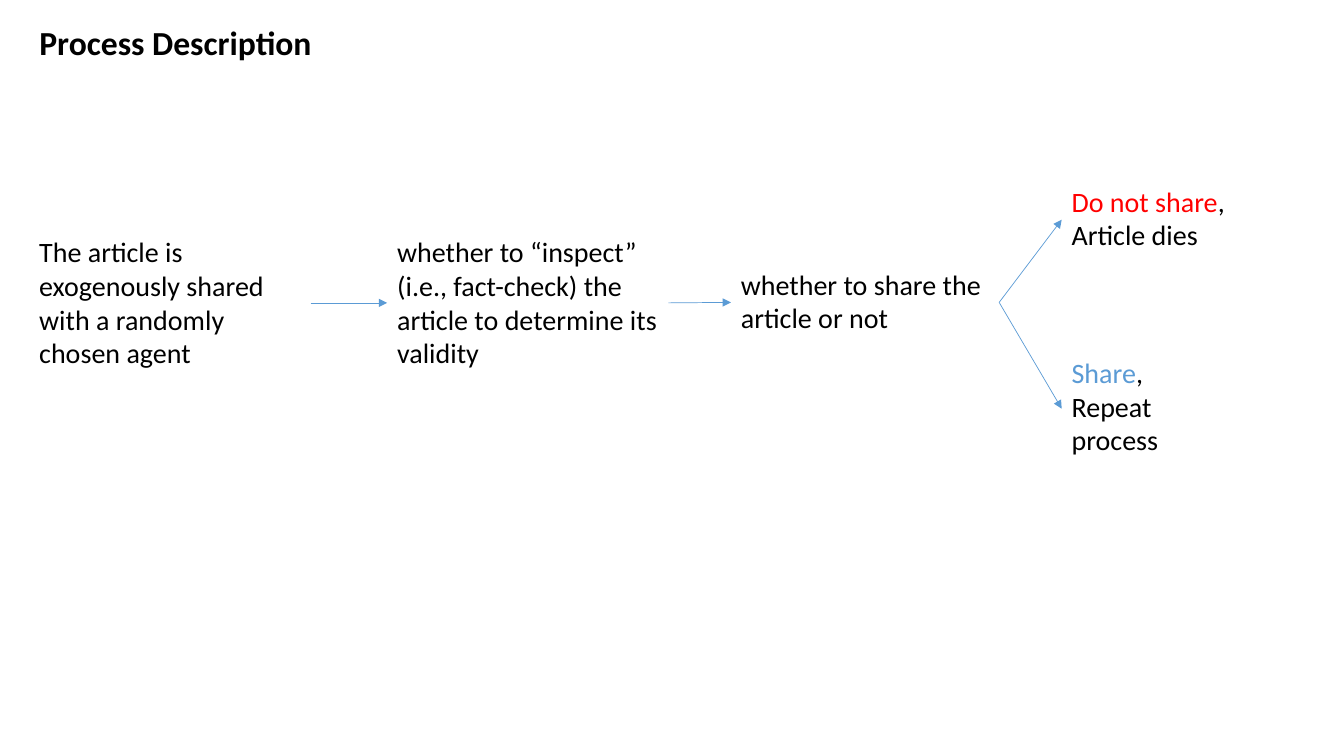
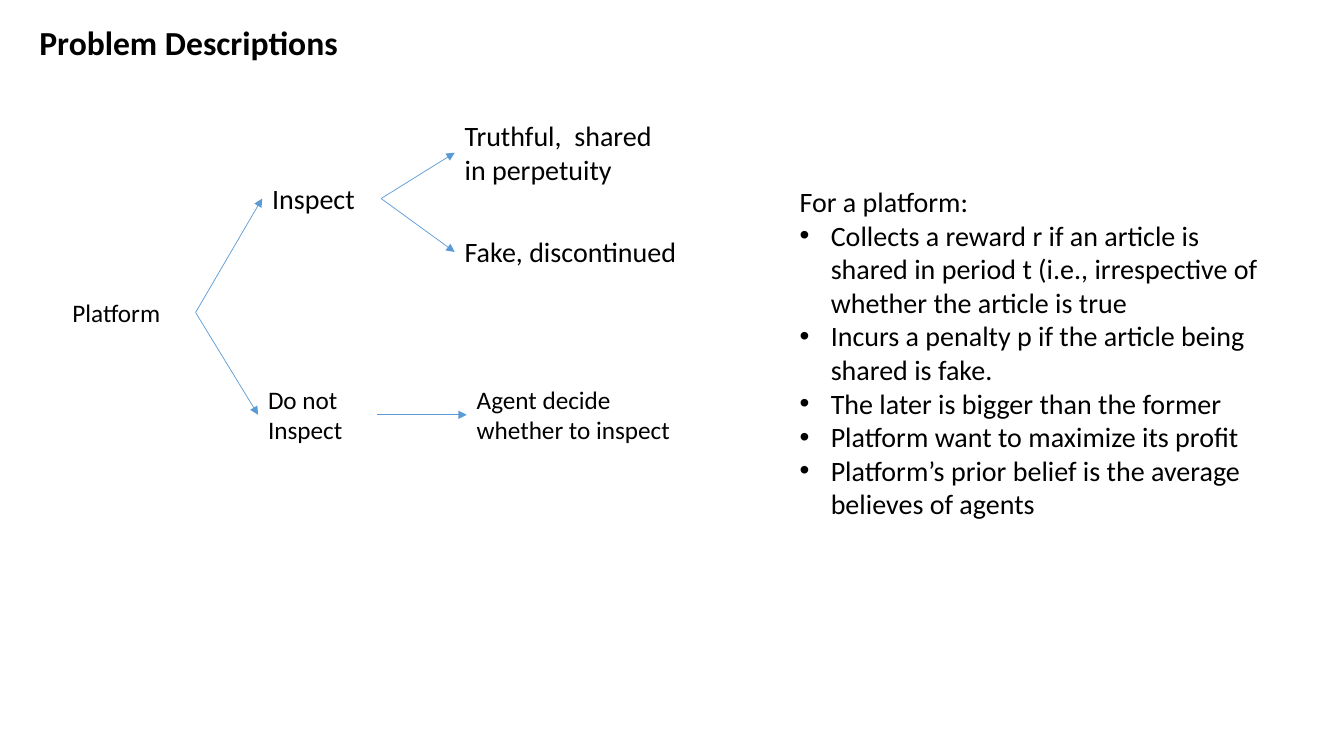
import pptx
import pptx.util
import pptx.dml.color
import pptx.enum.shapes
import pptx.enum.text
import pptx.oxml
import pptx.oxml.ns

Inches = pptx.util.Inches
Pt = pptx.util.Pt

COLORS = {"text": "000000", "arrow": "5B9BD5", "stop": "FF0000", "share": "5B9BD5"}
FONT = "Calibri"
RIGHT_SIDE, LEFT_SIDE = 3, 1
BULLET_INDENT = Inches(0.31)


def color(key):
    return pptx.dml.color.RGBColor.from_string(COLORS[key])


def append_element(parent, tag, **attributes):
    element = pptx.oxml.parse_xml(f"<{tag} {pptx.oxml.ns.nsdecls('a')}/>")
    for key, value in attributes.items():
        element.set(key, value)
    parent.append(element)


def place(shape, left, top, width, height):
    shape.left, shape.top = Inches(left), Inches(top)
    shape.width, shape.height = Inches(width), Inches(height)


def style_frame(frame):
    frame.word_wrap = True
    frame.auto_size = pptx.enum.text.MSO_AUTO_SIZE.NONE
    frame.vertical_anchor = pptx.enum.text.MSO_ANCHOR.TOP


def style_paragraph(paragraph, size, bold=False):
    paragraph.alignment = pptx.enum.text.PP_ALIGN.LEFT
    paragraph.space_before = Pt(0)
    font = paragraph.font
    font.name, font.size, font.bold = FONT, Pt(size), bold
    font.color.rgb = color("text")


def add_titled_slide(deck, layout_index, title):
    slide = deck.slides.add_slide(deck.slide_layouts[layout_index])
    heading = slide.shapes.title
    place(heading, 0.29, 0.17, 5.5, 0.5)
    style_frame(heading.text_frame)
    heading.text_frame.text = title
    style_paragraph(heading.text_frame.paragraphs[0], 24, bold=True)
    return slide


def add_step(slide, bounds, text, size=20, lead="", lead_color="text"):
    step = slide.shapes.add_textbox(*map(Inches, bounds))
    style_frame(step.text_frame)
    paragraph = step.text_frame.paragraphs[0]
    style_paragraph(paragraph, size)
    if lead:
        lead_run = paragraph.add_run()
        lead_run.text = lead
        lead_run.font.color.rgb = color(lead_color)
    paragraph.add_run().text = text
    return step


def add_arrow(slide, source, target):
    arrow = slide.shapes.add_connector(
        pptx.enum.shapes.MSO_CONNECTOR.STRAIGHT, 0, 0, 0, 0)
    arrow.begin_connect(source, RIGHT_SIDE)
    arrow.end_connect(target, LEFT_SIDE)
    arrow.line.color.rgb = color("arrow")
    arrow.line.width = Pt(0.5)
    append_element(arrow.line._get_or_add_ln(), "a:tailEnd", type="triangle")
    append_element(arrow._element.spPr, "a:effectLst")


def add_arrows(slide, links):
    for source, target in links:
        add_arrow(slide, source, target)


def fill_list(body, bounds, intro, items):
    place(body, *bounds)
    frame = body.text_frame
    style_frame(frame)
    frame.text = "\n".join([intro, *items])
    for index, paragraph in enumerate(frame.paragraphs):
        paragraph.space_before = Pt(0)
        properties = paragraph._p.get_or_add_pPr()
        indent = BULLET_INDENT if index else 0
        properties.set("marL", str(indent))
        properties.set("indent", str(-indent))
        if index:
            append_element(properties, "a:buFont", typeface="Arial")
            append_element(properties, "a:buChar", char="•")
        else:
            append_element(properties, "a:buNone")
        style_paragraph(paragraph, 20)


def build_process(deck):
    slide = add_titled_slide(deck, 5, "Process Description")
    seeding = add_step(slide, (0.29, 2.28, 2.79, 1.45),
                       "The article is exogenously shared with a randomly chosen agent")
    inspection = add_step(
        slide, (3.84, 2.28, 2.79, 1.45),
        "whether to “inspect” (i.e., fact-check) the article to determine its validity")
    sharing = add_step(slide, (7.25, 2.6, 2.66, 0.8),
                       "whether to share the article or not")
    dies = add_step(slide, (10.53, 1.78, 2.33, 0.8), ", Article dies",
                    lead="Do not share", lead_color="stop")
    repeats = add_step(slide, (10.53, 3.48, 1.54, 1.15), ", Repeat process",
                       lead="Share", lead_color="share")
    add_arrows(slide, [(seeding, inspection), (inspection, sharing),
                       (sharing, dies), (sharing, repeats)])


def build_problem(deck):
    slide = add_titled_slide(deck, 1, "Problem Descriptions")
    platform = add_step(slide, (0.62, 2.9, 1.32, 0.4), "Platform", 18)
    inspect = add_step(slide, (2.6, 1.75, 1.18, 0.44), "Inspect")
    skip = add_step(slide, (2.56, 3.76, 1.18, 0.71), "Do not Inspect", 18)
    fake = add_step(slide, (4.51, 2.28, 2.3, 0.44), "Fake, discontinued")
    truthful = add_step(slide, (4.51, 1.13, 2.16, 0.77),
                        "Truthful,  shared in perpetuity")
    agent = add_step(slide, (4.63, 3.76, 2.3, 0.71),
                     "Agent decide whether to inspect", 18)
    add_arrows(slide, [(platform, inspect), (platform, skip), (inspect, truthful),
                       (inspect, fake), (skip, agent)])
    fill_list(slide.placeholders[1], (7.83, 1.78, 4.88, 3.47), "For a platform:", [
        "Collects a reward r if an article is shared in period t "
        "(i.e., irrespective of whether the article is true",
        "Incurs a penalty p if the article being shared is fake.",
        "The later is bigger than the former",
        "Platform want to maximize its profit",
        "Platform’s prior belief is the average believes of agents",
    ])


def main():
    deck = pptx.Presentation()
    deck.slide_width, deck.slide_height = Inches(13.33), Inches(7.5)
    build_process(deck)
    build_problem(deck)
    deck.save("out.pptx")


if __name__ == "__main__":
    main()
